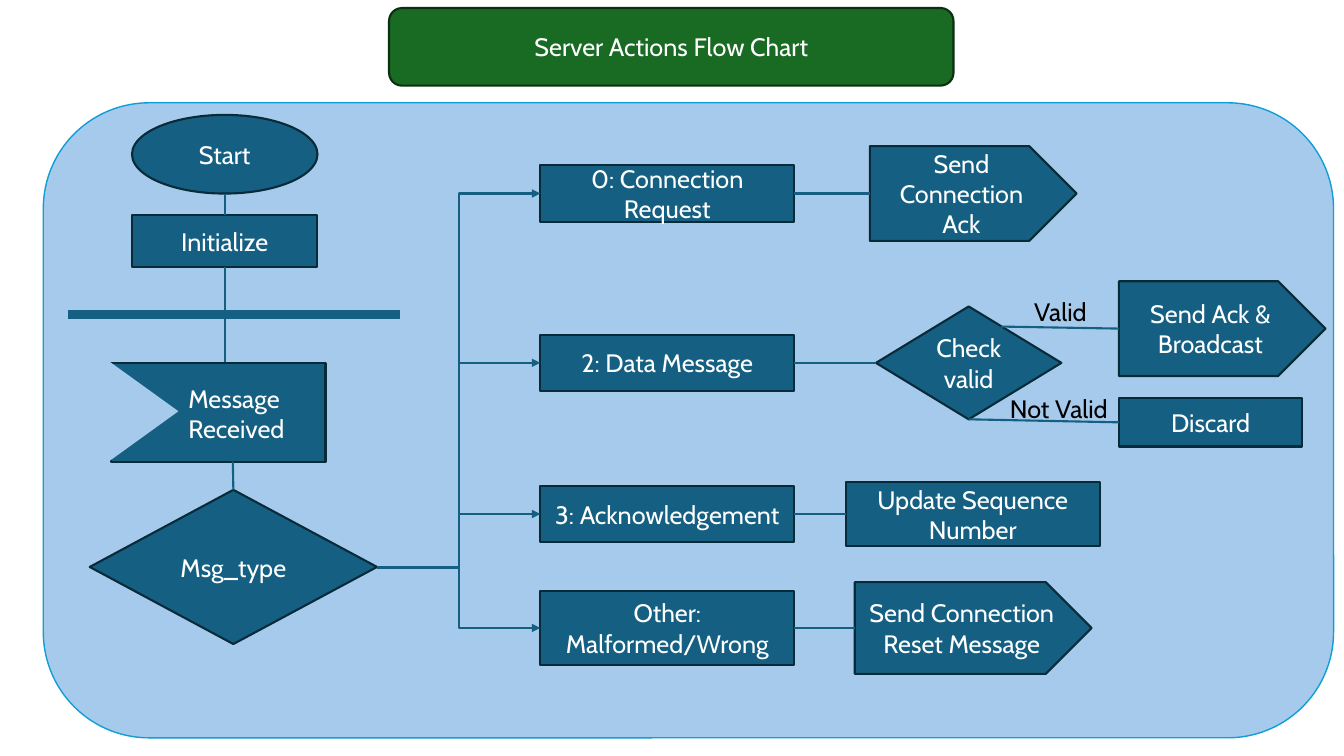
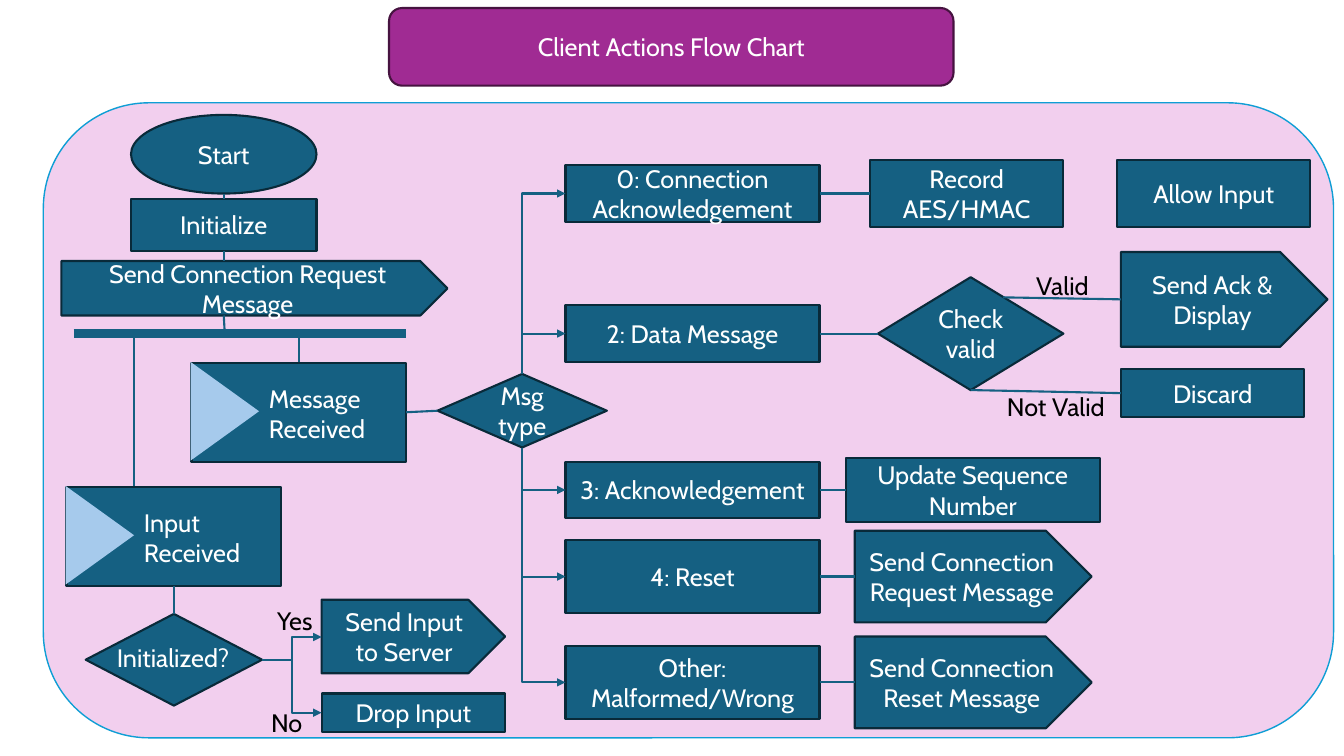
import pptx
import pptx.util
import pptx.dml.color
import pptx.enum.shapes
import pptx.enum.text
import pptx.oxml
import pptx.oxml.ns

RGB = pptx.dml.color.RGBColor
WHITE = RGB(0xFF, 0xFF, 0xFF)
BLACK = RGB(0x00, 0x00, 0x00)
TEAL = RGB(0x15, 0x60, 0x82)
NAVY = RGB(0x09, 0x2A, 0x39)
SKY = RGB(0xA6, 0xCA, 0xEC)
BLUE = RGB(0x0F, 0x9E, 0xD5)
PINK = RGB(0xF2, 0xCF, 0xEE)
GREEN = RGB(0x19, 0x6B, 0x24)
PINE = RGB(0x0B, 0x2F, 0x10)
PLUM = RGB(0xA0, 0x2B, 0x93)
WINE = RGB(0x46, 0x13, 0x40)

KIND = pptx.enum.shapes.MSO_SHAPE
RECT = KIND.RECTANGLE
ROUND = KIND.ROUNDED_RECTANGLE
OVAL = KIND.OVAL
GEM = KIND.FLOWCHART_DECISION
PLATE = KIND.PENTAGON
WIRE = pptx.enum.shapes.MSO_CONNECTOR
ALIGN = pptx.enum.text.PP_ALIGN
TOP, LEFT, BASE, RIGHT = range(4)


class Chart:
    font = "Cabin"
    size = 18
    cell = pptx.util.Inches(0.1)
    cols, rows = 133.33, 75

    def __init__(self):
        self.deck = pptx.Presentation()
        self.deck.slide_width, self.deck.slide_height = self.grid(self.cols, self.rows)

    def grid(self, *spans):
        return [round(span * self.cell) for span in spans]

    def page(self, title, fill, edge, panel):
        self.slide = self.deck.slides.add_slide(self.deck.slide_layouts[6])
        self.box(ROUND, "", 4.3, 10.2, 128, 63, panel, BLUE, 1)
        self.box(ROUND, title, 38.6, 0.8, 56, 7.7, fill, edge)

    def words(self, shape, text, color, align):
        frame = shape.text_frame
        frame.text = text
        for para in frame.paragraphs:
            para.alignment = align
            for run in para.runs:
                run.font.name = self.font
                run.font.size = pptx.util.Pt(self.size)
                run.font.color.rgb = color

    def box(self, kind, text, x, y, w, h, fill=TEAL, edge=NAVY, wide=1.5):
        shape = self.slide.shapes.add_shape(kind, *self.grid(x, y, w, h))
        shape.shadow.inherit = False
        shape.fill.solid()
        shape.fill.fore_color.rgb = fill
        if edge is None:
            shape.line.fill.background()
        else:
            shape.line.color.rgb = edge
            shape.line.width = pptx.util.Pt(wide)
        shape.text_frame.vertical_anchor = pptx.enum.text.MSO_ANCHOR.MIDDLE
        self.words(shape, text, WHITE, ALIGN.CENTER)
        return shape

    def label(self, text, x, y, w, h=4, color=BLACK, wrap=False):
        shape = self.slide.shapes.add_textbox(*self.grid(x, y, w, h))
        shape.text_frame.word_wrap = wrap
        shape.text_frame.auto_size = pptx.enum.text.MSO_AUTO_SIZE.SHAPE_TO_FIT_TEXT
        self.words(shape, text, color, ALIGN.LEFT)

    def line(self, x1, y1, x2, y2, wide=1.5, kind=WIRE.STRAIGHT):
        wire = self.slide.shapes.add_connector(kind, *self.grid(x1, y1, x2, y2))
        wire.line.color.rgb = TEAL
        wire.line.width = pptx.util.Pt(wide)
        props = wire._element.spPr
        props.append(pptx.oxml.parse_xml(
            "<a:effectLst %s/>" % pptx.oxml.ns.nsdecls("a")))
        return wire

    def link(self, first, side, last, goal):
        wire = self.line(0, 0, 0, 0)
        wire.begin_connect(first, side)
        wire.end_connect(last, goal)

    def bend(self, x1, y1, x2, y2, turn=0.5):
        wire = self.line(x1, y1, x2, y2, kind=WIRE.ELBOW)
        space = pptx.oxml.ns.nsdecls("a")
        props = wire._element.spPr
        guides = props.find(".//" + pptx.oxml.ns.qn("a:avLst"))
        guides.append(pptx.oxml.parse_xml(
            '<a:gd %s name="adj1" fmla="val %d"/>' % (space, turn * 100000)))
        props.find(pptx.oxml.ns.qn("a:ln")).append(pptx.oxml.parse_xml(
            '<a:tailEnd %s type="triangle"/>' % space))

    def start(self, x, y):
        self.box(OVAL, "Start", x, 11.4, 18.4, 7.8)
        first = self.box(RECT, "Initialize", x, y, 18.4, 5.2)
        self.line(x + 9.2, 19.2, x + 9.2, y).end_connect(first, TOP)
        return first

    def bar(self, x, y):
        self.line(x, y, x + 33, y, 6)

    def inbox(self, text, x, y):
        body = self.box(RECT, "", x, y, 21.3, 9.8)
        notch = self.box(KIND.ISOSCELES_TRIANGLE, "", x - 1.6, y + 1.4, 9.8, 6.8, SKY, None)
        notch.rotation = 90
        self.label(text, x + 6.7, y + 1.5, 13, 7.1, WHITE, True)
        return body

    def case(self, x, mid, text, h, kind, reply, left, w, high):
        ask = self.box(RECT, text, x, mid - h / 2, 25.2, h)
        act = self.box(kind, reply, left, mid - high / 2, w, high)
        self.link(ask, RIGHT, act, LEFT)
        return act

    def check(self, gem, x, y, reply, valid, fail):
        send = self.box(PLATE, reply, x + 24.1, y - 2.5, 20.5, 9.4)
        drop = self.box(RECT, "Discard", x + 24.1, y + 9.1, 18.2, 4.8)
        self.line(x + 12.4, y + 2, x + 24.1, y + 2.2).end_connect(send, LEFT)
        self.link(drop, LEFT, gem, BASE)
        self.label("Valid", *valid, 7.4)
        self.label("Not Valid", *fail, 11.9)


def server(art):
    art.page("Server Actions Flow Chart", GREEN, PINE, SKY)
    first = art.start(13.1, 21.3)
    art.bar(6.7, 31.2)
    art.line(22.3, 26.5, 22.3, 31.2).begin_connect(first, BASE)
    art.line(22.3, 31.2, 22.3, 36)
    art.inbox("Message Received", 11, 36)
    gem = art.box(GEM, "Msg_type", 8.9, 48.6, 28.5, 15.3)
    art.line(23.1, 45.8, 23.1, 48.6).end_connect(gem, TOP)
    cases = [
        (19.2, "0: Connection Request", 5.6, PLATE, "Send Connection Ack", 86.3, 20.5, 9.4),
        (36, "2: Data Message", 5.6, GEM, "Check valid", 86.9, 18.4, 11.2),
        (51, "3: Acknowledgement", 5.6, RECT, "Update Sequence Number", 83.9, 25.2, 6.4),
        (62.3, "Other: Malformed/Wrong", 7.3, PLATE, "Send Connection Reset Message", 84.8, 23.5, 9.1),
    ]
    acts = []
    for case in cases:
        acts.append(art.case(53.6, *case))
        art.bend(37.4, 56.3, 53.6, case[0])
    art.check(acts[1], 86.9, 30.4, "Send Ack & Broadcast", (101.6, 28.9), (99.2, 38.5))


def client(art):
    art.page("Client Actions Flow Chart", PLUM, WINE, PINK)
    first = art.start(13, 19.7)
    art.box(PLATE, "Send Connection Request Message", 6.1, 25.9, 38.3, 5.4)
    art.line(22.2, 25.9, 22.2, 24.9).end_connect(first, BASE)
    art.line(22.2, 31.3, 22.3, 33.1)
    art.bar(7.3, 33.1)
    art.line(29.7, 33.1, 29.7, 36)
    art.line(13.3, 33.1, 13.3, 48.2)
    mail = art.inbox("Message Received", 19, 36)
    typed = art.inbox("Input Received", 6.6, 48.3)
    gem = art.box(GEM, "Msg\ntype", 43.4, 37.1, 16.8, 7.3)
    art.link(mail, RIGHT, gem, LEFT)
    cases = [
        (19.2, "0: Connection Acknowledgement", 5.6, RECT, "Record AES/HMAC", 86.3, 19.2, 6.6),
        (33.1, "2: Data Message", 5.6, GEM, "Check valid", 87.1, 18.4, 11.2),
        (48.6, "3: Acknowledgement", 5.6, RECT, "Update Sequence Number", 83.9, 25.2, 6.4),
        (57.2, "4: Reset", 7.3, PLATE, "Send Connection Request Message", 84.8, 23.5, 9.1),
        (67.7, "Other: Malformed/Wrong", 7.3, PLATE, "Send Connection Reset Message", 84.8, 23.5, 9.1),
    ]
    acts = []
    for case in cases:
        acts.append(art.case(56.1, *case))
        art.bend(51.8, 37.1 if case[0] < 40 else 44.4, 56.1, case[0], 0)
    art.box(RECT, "Allow Input", 110.8, 15.9, 19.2, 6.6)
    art.check(acts[1], 87.1, 27.5, "Send Ack & Display", (101.8, 26.3), (98.9, 38.3))
    ready = art.box(GEM, "", 8.5, 60.9, 17.5, 9.1)
    art.label("Initialized?", 10.6, 63.2, 13.9, color=WHITE, wrap=True)
    art.link(typed, BASE, ready, TOP)
    art.box(PLATE, "Send Input to Server", 31.9, 59.5, 18.2, 7.3)
    art.box(RECT, "Drop Input", 31.9, 68.8, 18.2, 3.8)
    for mid in (63.2, 70.7):
        art.bend(26, 65.5, 31.9, mid)
    art.label("Yes", 26.5, 59.6, 5.8)
    art.label("No", 25.9, 69.7, 5.2)


def main():
    art = Chart()
    server(art)
    client(art)
    art.deck.save("out.pptx")


if __name__ == "__main__":
    main()
